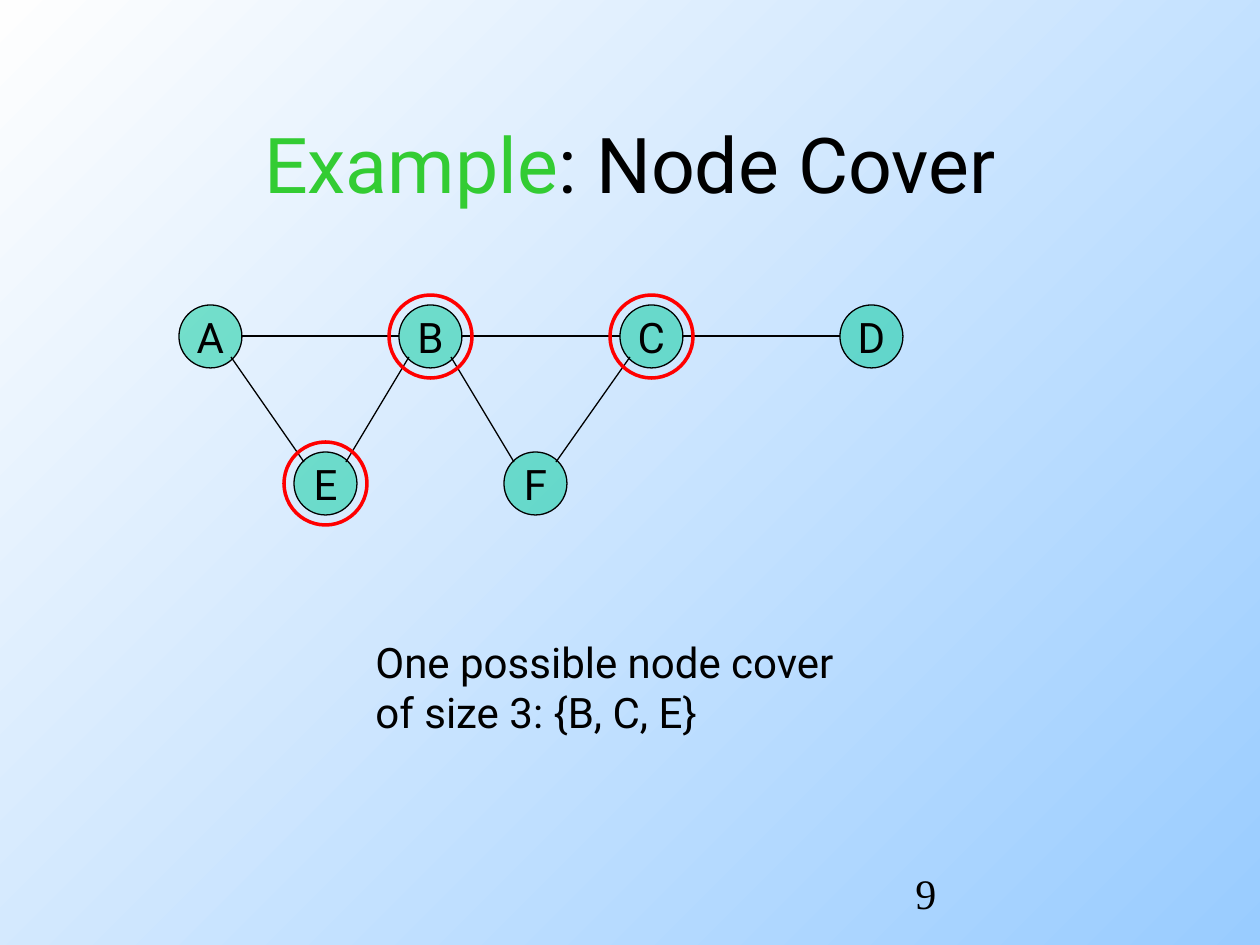
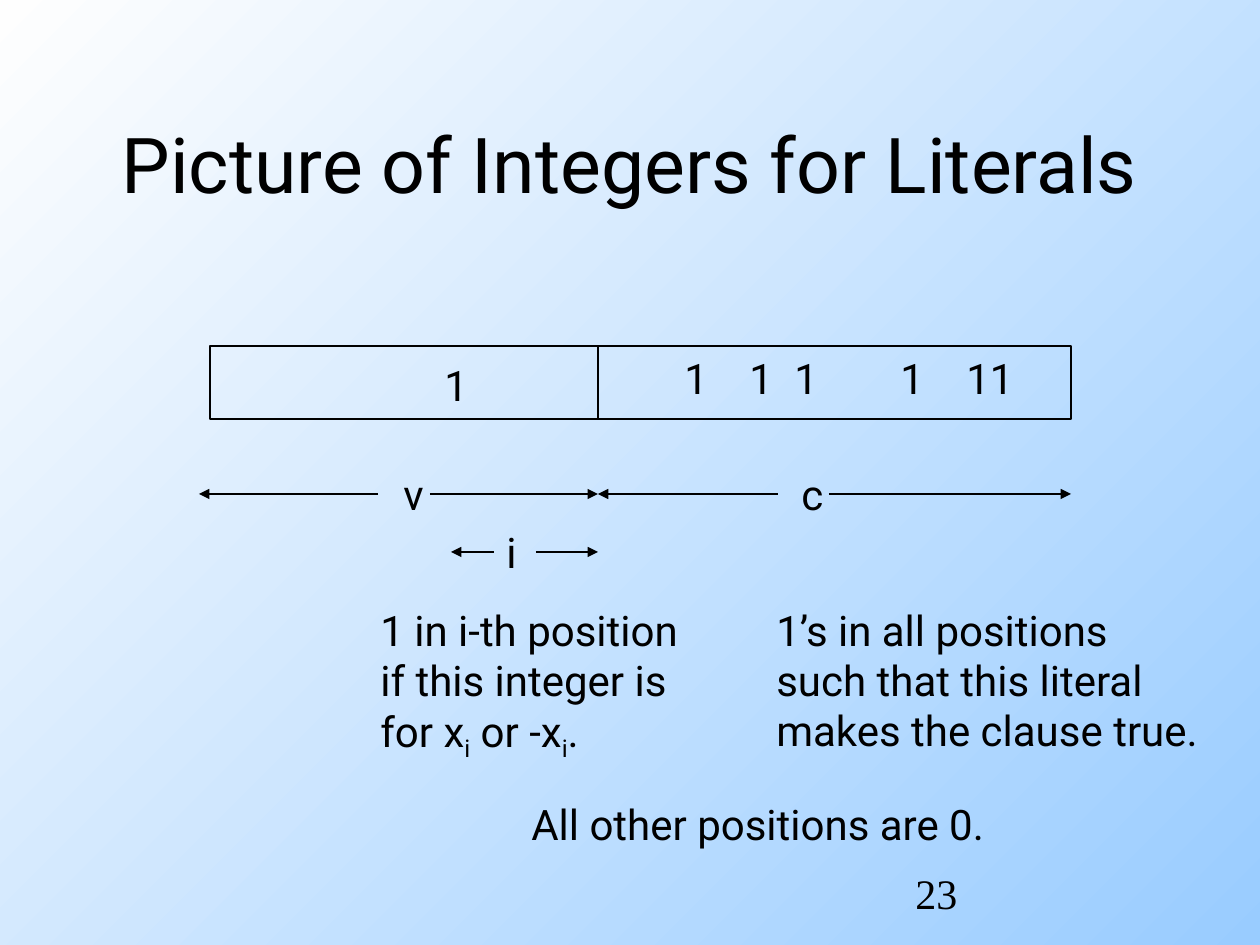
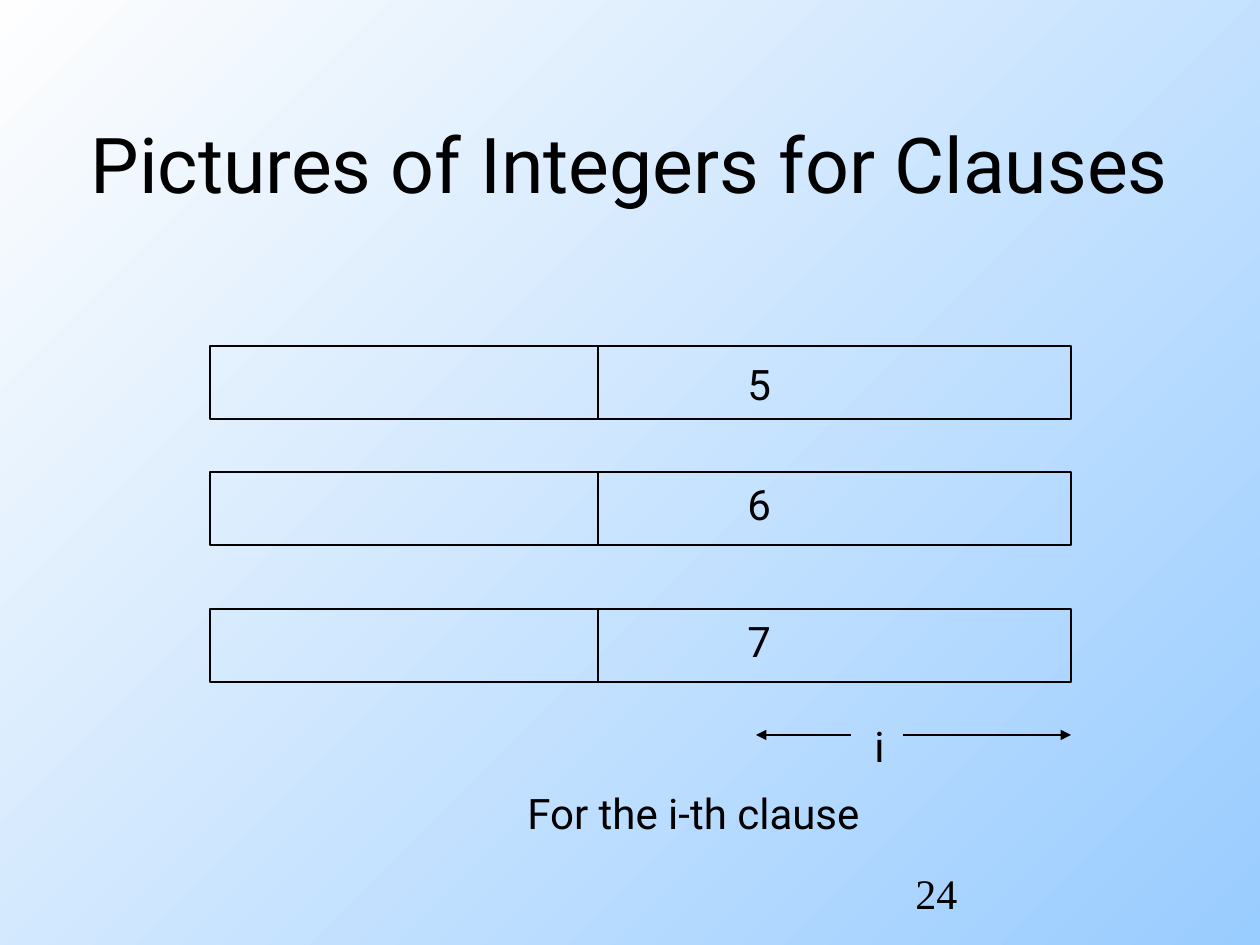
from lxml import etree
from pptx import Presentation
from pptx.dml.color import RGBColor
from pptx.enum.shapes import MSO_CONNECTOR, MSO_SHAPE
from pptx.enum.text import MSO_ANCHOR, PP_ALIGN
from pptx.oxml.ns import qn
from pptx.util import Pt

STRAIGHT = MSO_CONNECTOR.STRAIGHT
ELLIPSE = MSO_SHAPE.OVAL
RECTANGLE = MSO_SHAPE.RECTANGLE
MIDDLE = MSO_ANCHOR.MIDDLE
TOP = MSO_ANCHOR.TOP
CENTER = PP_ALIGN.CENTER
LEFT = PP_ALIGN.LEFT

EMU_PER_PX = 914400 / 126
SLIDE_WIDTH, SLIDE_HEIGHT = 1260, 945
COLORS = {
    "text": "000000",
    "line": "000000",
    "example": "33CC33",
    "node": "00CC99",
    "cover": "FF0000",
    "sky": "99CCFF",
    "white": "FEFEFE",
}
BODY_FONT = "Roboto"
NUMBER_FONT = "Times New Roman"
BODY_SIZE, TITLE_SIZE = 24, 44
THIN, THICK = 0.75, 2

NODE_SIZE, RING_SIZE = 63, 83
EDGE_INSET = 21
NODES = {
    "A": (210, 336), "B": (430, 336), "C": (651, 336), "D": (871, 336),
    "E": (325, 483), "F": (535, 483),
}
EDGES = ["AB", "BC", "CD", "AE", "BE", "BF", "CF"]
COVER = "BCE"

BAR_LEFT, BAR_WIDTH, BAR_HEIGHT = 210, 861, 73
BAR_RIGHT = BAR_LEFT + BAR_WIDTH
BAR_SPLIT = 598


def px(*lengths):
    return [round(length * EMU_PER_PX) for length in lengths]


def rgb(name):
    return RGBColor.from_string(COLORS[name])


def add_runs(paragraph, runs, size, font):
    """Each run is (text, colour name, is subscript)."""
    for text, color, subscript in runs:
        run = paragraph.add_run()
        run.text = text
        run.font.size = Pt(size)
        run.font.name = font
        run.font.color.rgb = rgb(color)
        if subscript:
            run.font._element.set("baseline", "-25000")


def plain(text):
    return [(text, "text", False)]


def write(shape, lines, size=BODY_SIZE, font=BODY_FONT, align=LEFT,
          anchor=TOP, wrap=False):
    """Fill the shape with lines, each a list of runs."""
    frame = shape.text_frame
    frame.word_wrap = wrap
    frame.vertical_anchor = anchor
    for index, runs in enumerate(lines):
        paragraph = frame.add_paragraph() if index else frame.paragraphs[0]
        paragraph.alignment = align
        add_runs(paragraph, runs, size, font)


def add_text(slide, box, lines, **style):
    shape = slide.shapes.add_textbox(*px(*box))
    write(shape, lines, **style)
    return shape


def add_outline(slide, kind, box, color="line", weight=THIN):
    shape = slide.shapes.add_shape(kind, *px(*box))
    shape.shadow.inherit = False
    shape.fill.background()
    shape.line.color.rgb = rgb(color)
    shape.line.width = Pt(weight)
    return shape


def add_line(slide, start, end, arrow=False):
    connector = slide.shapes.add_connector(STRAIGHT, *px(*start, *end))
    connector.line.color.rgb = rgb("line")
    connector.line.width = Pt(THIN)
    properties = connector._element.spPr
    if arrow:
        line = properties.find(qn("a:ln"))
        etree.SubElement(line, qn("a:tailEnd"), type="triangle")
    etree.SubElement(properties, qn("a:effectLst"))


def set_background(master):
    fill = master.background.fill
    fill.gradient()
    fill.gradient_angle = 135
    for stop, color in zip(fill.gradient_stops, ("sky", "white")):
        stop.color.rgb = rgb(color)


def add_slide(presentation, title_runs, number, margin=0):
    slide = presentation.slides.add_slide(presentation.slide_layouts[6])
    title_box = (margin, 84, SLIDE_WIDTH - 2 * margin, 158)
    add_text(slide, title_box, [title_runs], size=TITLE_SIZE, align=CENTER,
             anchor=MIDDLE, wrap=True)
    add_text(slide, (903, 861, 262, 63), [plain(str(number))],
             font=NUMBER_FONT, wrap=True)
    return slide


def centered_box(center, size):
    x, y = center
    return x - size // 2, y - size // 2, size, size


def add_node(slide, name):
    node = add_outline(slide, ELLIPSE, centered_box(NODES[name], NODE_SIZE))
    node.fill.solid()
    node.fill.fore_color.rgb = rgb("node")
    color = node._element.spPr.find(qn("a:solidFill"))[0]
    etree.SubElement(color, qn("a:alpha"), val="50000")
    write(node, [plain(name)], align=CENTER, anchor=MIDDLE)


def add_edge(slide, first, second):
    (x1, y1), (x2, y2) = NODES[first], NODES[second]
    direction = 1 if x2 > x1 else -1
    if y1 == y2:
        inset_x, inset_y = NODE_SIZE // 2, 0
    else:
        inset_x, inset_y = EDGE_INSET, EDGE_INSET
    add_line(slide, (x1 + direction * inset_x, y1 + inset_y),
             (x2 - direction * inset_x, y2 - inset_y))


def add_bar(slide, top):
    add_outline(slide, RECTANGLE, (BAR_LEFT, top, BAR_WIDTH, BAR_HEIGHT))
    add_line(slide, (BAR_SPLIT, top), (BAR_SPLIT, top + BAR_HEIGHT))


def add_span(slide, y, left, right, gap, label, label_box):
    """Two arrows point outwards from a gap that holds the label."""
    gap_left, gap_right = gap
    add_line(slide, (gap_left, y), (left, y), arrow=True)
    add_line(slide, (gap_right, y), (right, y), arrow=True)
    add_text(slide, label_box, [plain(label)])


def add_tab_stops(shape, offsets):
    properties = shape.text_frame.paragraphs[0]._p.get_or_add_pPr()
    tab_list = etree.SubElement(properties, qn("a:tabLst"))
    for position in px(*offsets):
        etree.SubElement(tab_list, qn("a:tab"), pos=str(position), algn="l")


def node_cover_slide(presentation):
    title = [("Example", "example", False), (": Node Cover", "text", False)]
    slide = add_slide(presentation, title, 9, margin=94)
    for name in NODES:
        add_node(slide, name)
    for first, second in EDGES:
        add_edge(slide, first, second)
    add_text(slide, (363, 630, 512, 113),
             [plain("One possible node cover"), plain("of size 3: {B, C, E}")])
    for name in COVER:
        add_outline(slide, ELLIPSE, centered_box(NODES[name], RING_SIZE),
                    "cover", THICK)


def literals_slide(presentation):
    slide = add_slide(presentation, plain("Picture of Integers for Literals"), 23)
    add_bar(slide, 346)
    add_text(slide, (432, 353, 49, 63), [plain("1")])
    clause_ones = add_text(slide, (672, 346, 365, 63),
                           [plain("1\t1\t1\t1\t11")], wrap=True)
    add_tab_stops(clause_ones, (65, 110, 216, 282))

    add_span(slide, 494, 199, BAR_SPLIT, (378, 430), "v", (391, 462, 47, 63))
    add_span(slide, 494, BAR_SPLIT, BAR_RIGHT, (778, 829), "c",
             (789, 462, 45, 63))
    add_span(slide, 552, 451, BAR_SPLIT, (494, 536), "i", (494, 520, 35, 63))

    literal = [("for x", "text", False), ("i", "text", True),
               (" or -x", "text", False), ("i", "text", True),
               (".", "text", False)]
    add_text(slide, (368, 598, 344, 171),
             [plain("1 in i-th position"), plain("if this integer is"), literal])
    add_text(slide, (764, 598, 469, 164),
             [plain("1’s in all positions"), plain("such that this literal"),
              plain("makes the clause true.")])
    add_text(slide, (519, 792, 504, 63), [plain("All other positions are 0.")])


def clauses_slide(presentation):
    slide = add_slide(presentation, plain("Pictures of Integers for Clauses"), 24)
    for digit, bar_top, digit_top in (("5", 346, 352), ("6", 472, 472),
                                      ("7", 609, 609)):
        add_bar(slide, bar_top)
        add_text(slide, (735, digit_top, 49, 63), [plain(digit)])
    add_span(slide, 735, 756, BAR_RIGHT, (851, 903), "i", (862, 714, 35, 63))
    add_text(slide, (515, 781, 377, 63), [plain("For the i-th clause")])


def main():
    presentation = Presentation()
    presentation.slide_width, presentation.slide_height = px(
        SLIDE_WIDTH, SLIDE_HEIGHT)
    set_background(presentation.slide_master)
    node_cover_slide(presentation)
    literals_slide(presentation)
    clauses_slide(presentation)
    presentation.save("out.pptx")


if __name__ == "__main__":
    main()
